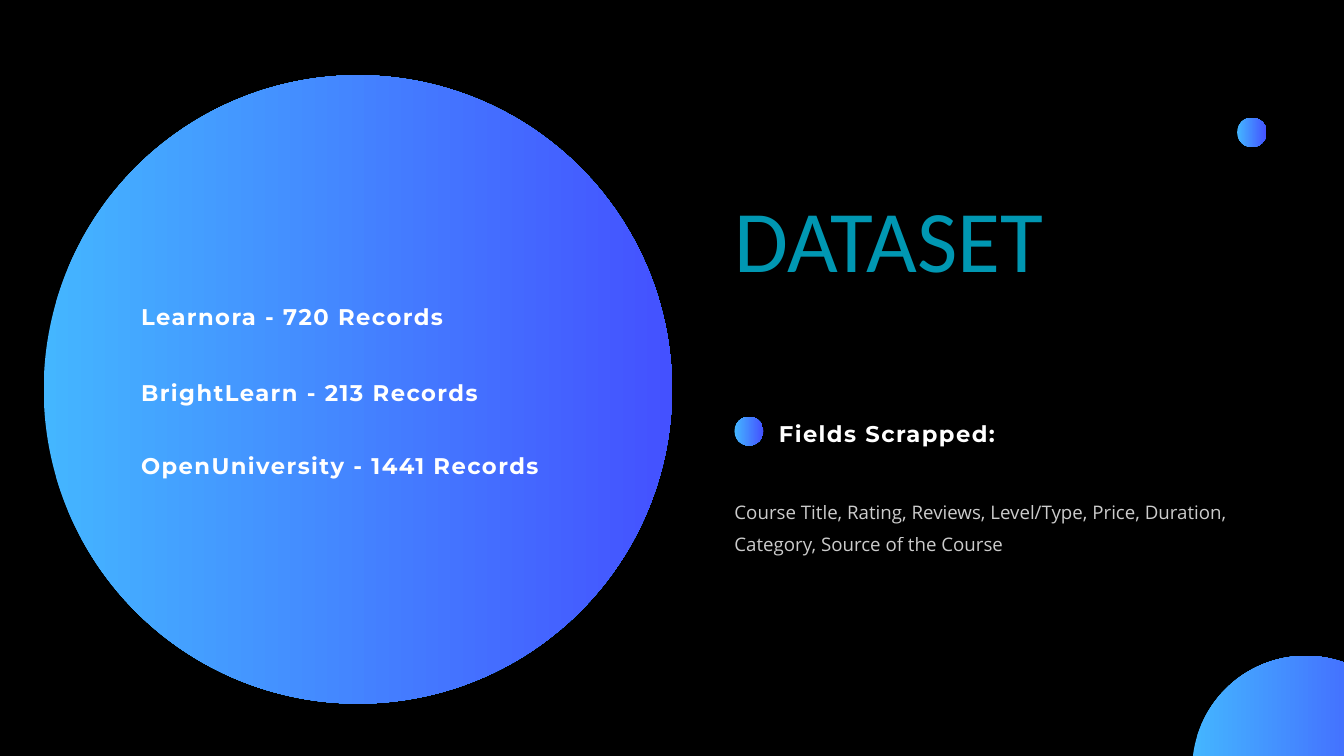
import dataclasses
import typing

import pptx
import pptx.dml.color
import pptx.enum.shapes
import pptx.enum.text
import pptx.oxml.ns
import pptx.util
from lxml import etree

# Grid: 20 square columns across, 11.25 rows down
COLS, ROWS = 20, 11.25
CELL = pptx.util.Inches(1)

HUES = {"back": "000000", "sky": "44B6FF", "blue": "4451FF",
        "teal": "0097B2", "white": "FFFFFF"}


class Box(typing.NamedTuple):
    col: float
    row: float
    wide: float
    high: float

    def place(self) -> list:
        return [round(n * CELL) for n in self]


@dataclasses.dataclass
class Style:
    font: dict
    hue: str
    lead: float
    track: int = 0
    alpha: int = 100


@dataclasses.dataclass
class Note:
    box: Box
    text: str
    style: Style


HEAD = Style({"name": "Calibri", "size": pptx.util.Pt(94)}, "teal", 112.8)
LABEL = Style({"name": "Montserrat", "size": pptx.util.Pt(24.3), "bold": True},
              "white", 34.1, track=160)
PLAIN = Style({"name": "Open Sans", "size": pptx.util.Pt(20)}, "white", 34, alpha=80)

FRAME = {"margin_left": 0, "margin_top": 0, "margin_right": 0, "margin_bottom": 0,
         "word_wrap": True, "auto_size": pptx.enum.text.MSO_AUTO_SIZE.NONE,
         "vertical_anchor": pptx.enum.text.MSO_ANCHOR.TOP}

DISCS = [Box(0.65, 1.12, 9.35, 9.35), Box(17.74, 9.76, 3.38, 3.38),
         Box(18.41, 1.75, 0.44, 0.44), Box(10.93, 6.2, 0.43, 0.43)]

NOTES = [
    Note(Box(11.59, 6.18, 7.05, 0.45), "Fields Scrapped:", LABEL),
    Note(Box(10.93, 7.32, 7.64, 0.91),
         "Course Title, Rating, Reviews, Level/Type, Price, Duration, "
         "Category, Source of the Course", PLAIN),
]

# Each source with the space before it, in points
LIST = [("Learnora - 720 Records", 0),
        ("BrightLearn - 213 Records", 47.2),
        ("OpenUniversity - 1441 Records", 43.7)]


def tint(hue: str) -> pptx.dml.color.RGBColor:
    return pptx.dml.color.RGBColor.from_string(HUES[hue])


def assign(item: typing.Any, values: dict) -> None:
    for name, value in values.items():
        setattr(item, name, value)


def seat(shape: typing.Any, box: Box) -> None:
    assign(shape, dict(zip(("left", "top", "width", "height"), box.place())))


def disc(slide: typing.Any, box: Box) -> None:
    shape = slide.shapes.add_shape(pptx.enum.shapes.MSO_SHAPE.OVAL, *box.place())
    shape.shadow.inherit = False
    shape.line.fill.background()
    shape.fill.gradient()
    shape.fill.gradient_angle = 0
    for stop, hue in zip(shape.fill.gradient_stops, ("sky", "blue")):
        stop.color.rgb = tint(hue)


def write(para: typing.Any, text: str, style: Style, gap: float = 0) -> None:
    qn = pptx.oxml.ns.qn
    props = para._p.get_or_add_pPr()
    assign_xml = {"marL": "0", "indent": "0"}
    for name, value in assign_xml.items():
        props.set(name, value)
    etree.SubElement(props, qn("a:buNone"))
    assign(para, {"alignment": pptx.enum.text.PP_ALIGN.LEFT,
                  "line_spacing": pptx.util.Pt(style.lead),
                  "space_before": pptx.util.Pt(gap)})
    run = para.add_run()
    run.text = text
    assign(run.font, style.font)
    run.font.color.rgb = tint(style.hue)
    if style.track:
        run._r.get_or_add_rPr().set("spc", str(style.track))
    if style.alpha < 100:
        color = run._r.rPr.find(".//" + qn("a:srgbClr"))
        etree.SubElement(color, qn("a:alpha")).set("val", str(style.alpha * 1000))


def main() -> None:
    deck = pptx.Presentation()
    assign(deck, {"slide_width": round(COLS * CELL),
                  "slide_height": round(ROWS * CELL)})
    slide = deck.slides.add_slide(deck.slide_layouts[1])
    slide.background.fill.solid()
    slide.background.fill.fore_color.rgb = tint("back")
    title, body = slide.placeholders

    # Gradient discs, kept behind the placeholders
    for box in DISCS:
        disc(slide, box)
    for shape in (title, body):
        slide.shapes._spTree.append(shape._element)

    # Title
    seat(title, Box(10.93, 2.75, 7.7, 1.57))
    assign(title.text_frame, FRAME)
    write(title.text_frame.paragraphs[0], "DATASET", HEAD)

    # List of sources
    seat(body, Box(2.1, 4.44, 7.05, 2.66))
    assign(body.text_frame, FRAME)
    for i, (text, gap) in enumerate(LIST):
        frame = body.text_frame
        para = frame.add_paragraph() if i else frame.paragraphs[0]
        write(para, text, LABEL, gap)

    # Fields on the right
    for note in NOTES:
        frame = slide.shapes.add_textbox(*note.box.place()).text_frame
        assign(frame, FRAME)
        write(frame.paragraphs[0], note.text, note.style)

    deck.save("out.pptx")


if __name__ == "__main__":
    main()
